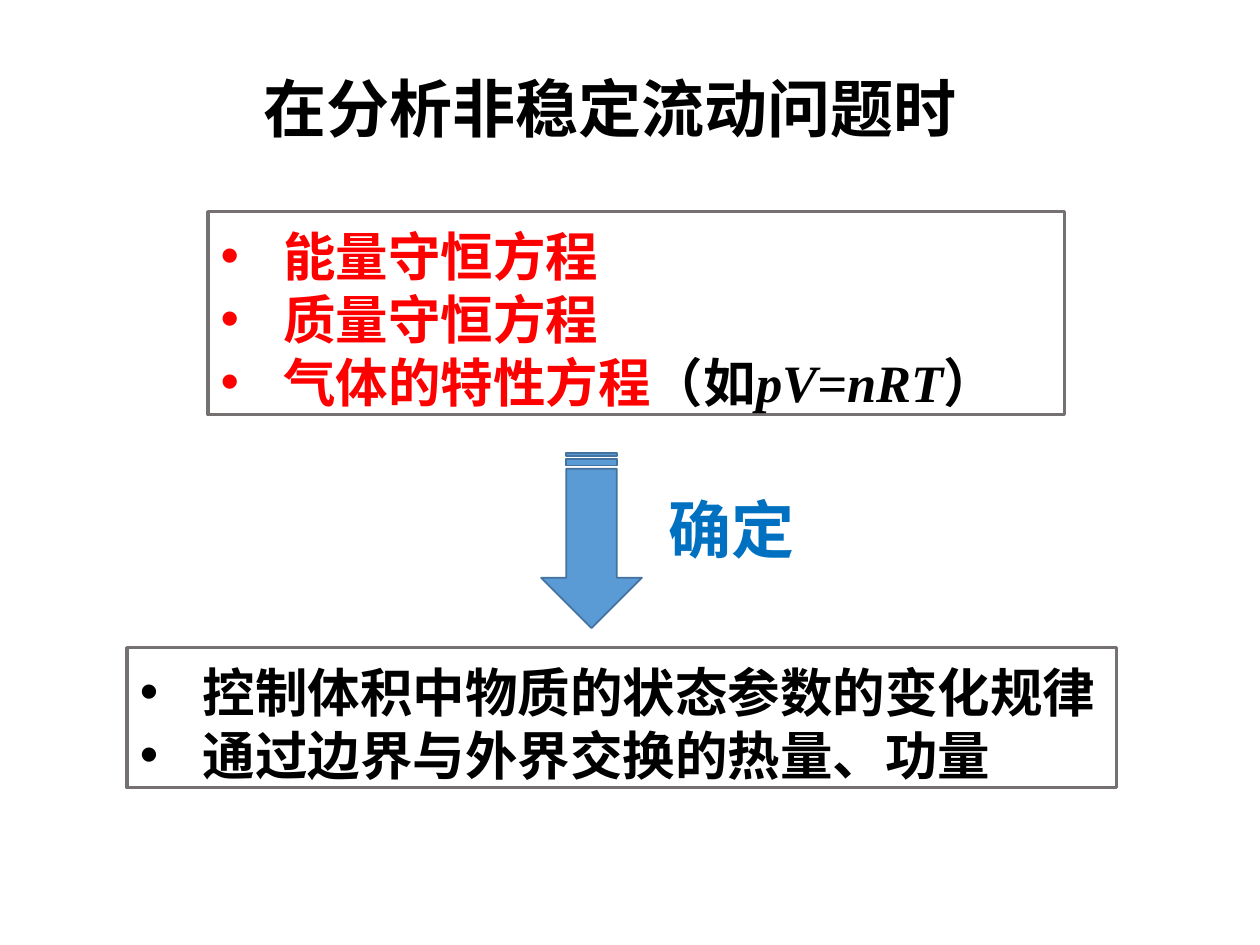
from pptx import Presentation
from pptx.dml.color import RGBColor
from pptx.enum import shapes, text
from pptx.oxml.ns import qn
from pptx.util import Inches, Pt

BLACK = RGBColor(0x00, 0x00, 0x00)
RED = RGBColor(0xFF, 0x00, 0x00)
BLUE = RGBColor(0x00, 0x70, 0xC0)
FRAME_GREY = RGBColor(0x76, 0x71, 0x71)
ARROW_FILL = RGBColor(0x5B, 0x9B, 0xD5)
ARROW_LINE = RGBColor(0x43, 0x73, 0x9E)
CJK_FONT = "Noto Sans CJK SC"
FORMULA_FONT = "Times New Roman"


def place(shape, left, top, width, height, anchor, wrap):
    shape.left, shape.top = Inches(left), Inches(top)
    shape.width, shape.height = Inches(width), Inches(height)
    frame = shape.text_frame
    frame.auto_size = text.MSO_AUTO_SIZE.NONE
    frame.word_wrap = wrap
    frame.vertical_anchor = anchor
    frame.margin_left = frame.margin_right = Inches(0.1)
    frame.margin_top, frame.margin_bottom = Inches(0.09), Inches(0.01)
    return frame


def add_runs(paragraph, size, runs):
    paragraph.alignment = text.PP_ALIGN.LEFT
    paragraph.line_spacing = Pt(size * 1.2)
    paragraph.space_before = Pt(0)
    for words, color, font_name in runs:
        run = paragraph.add_run()
        run.text = words
        run.font.size = Pt(size)
        run.font.bold = True
        run.font.italic = font_name == FORMULA_FONT
        run.font.color.rgb = color
        run.font.name = font_name
        east_asian = run.font._element.makeelement(qn("a:ea"), {"typeface": CJK_FONT})
        run.font._element.find(qn("a:latin")).addnext(east_asian)


prs = Presentation()
prs.slide_width, prs.slide_height = Inches(10), Inches(7.5)
slide = prs.slides.add_slide(prs.slide_layouts.get_by_name("Two Content"))
title, equations, results = slide.placeholders

# Title and the label beside the arrow
label = slide.shapes.add_textbox(0, 0, 0, 0)
for heading, box, words, color in [
    (title, (1.99, 0.46, 5.78, 0.71), "在分析非稳定流动问题时", BLACK),
    (label, (5.21, 3.8, 1.21, 0.71), "确定", BLUE),
]:
    frame = place(heading, *box, text.MSO_ANCHOR.TOP, False)
    add_runs(frame.paragraphs[0], 36, [(words, color, CJK_FONT)])

# Framed lists: the equations, and what they determine
equation_lines = [
    [("能量守恒方程", RED, CJK_FONT)],
    [("质量守恒方程", RED, CJK_FONT)],
    [
        ("气体的特性方程", RED, CJK_FONT),
        ("（如", BLACK, CJK_FONT),
        ("pV=nRT", BLACK, FORMULA_FONT),
        ("）", BLACK, CJK_FONT),
    ],
]
result_lines = [
    [("控制体积中物质的状态参数的变化规律", BLACK, CJK_FONT)],
    [("通过边界与外界交换的热量、功量", BLACK, CJK_FONT)],
]
for framed, box, lines in [
    (equations, (1.65, 1.68, 6.8, 1.61), equation_lines),
    (results, (1.01, 5.14, 7.85, 1.11), result_lines),
]:
    frame = place(framed, *box, text.MSO_ANCHOR.MIDDLE, True)
    framed.line.color.rgb = FRAME_GREY
    framed.line.width = Pt(2)
    for index, runs in enumerate(lines):
        paragraph = frame.add_paragraph() if index else frame.paragraphs[0]
        properties = paragraph._p.get_or_add_pPr()
        properties.set("marL", str(Inches(0.5)))
        properties.set("indent", str(-Inches(0.5)))
        properties.append(properties.makeelement(qn("a:buFont"), {"typeface": "Arial"}))
        properties.append(properties.makeelement(qn("a:buChar"), {"char": "•"}))
        add_runs(paragraph, 30, runs)

# Arrow from the equations down to the results
arrow = slide.shapes.add_shape(
    shapes.MSO_SHAPE.STRIPED_RIGHT_ARROW,
    Inches(4), Inches(3.89), Inches(1.39), Inches(0.8),
)
arrow.rotation = 90
arrow.shadow.inherit = False
arrow.fill.solid()
arrow.fill.fore_color.rgb = ARROW_FILL
arrow.line.color.rgb = ARROW_LINE
arrow.line.width = Pt(1)

prs.save("out.pptx")
